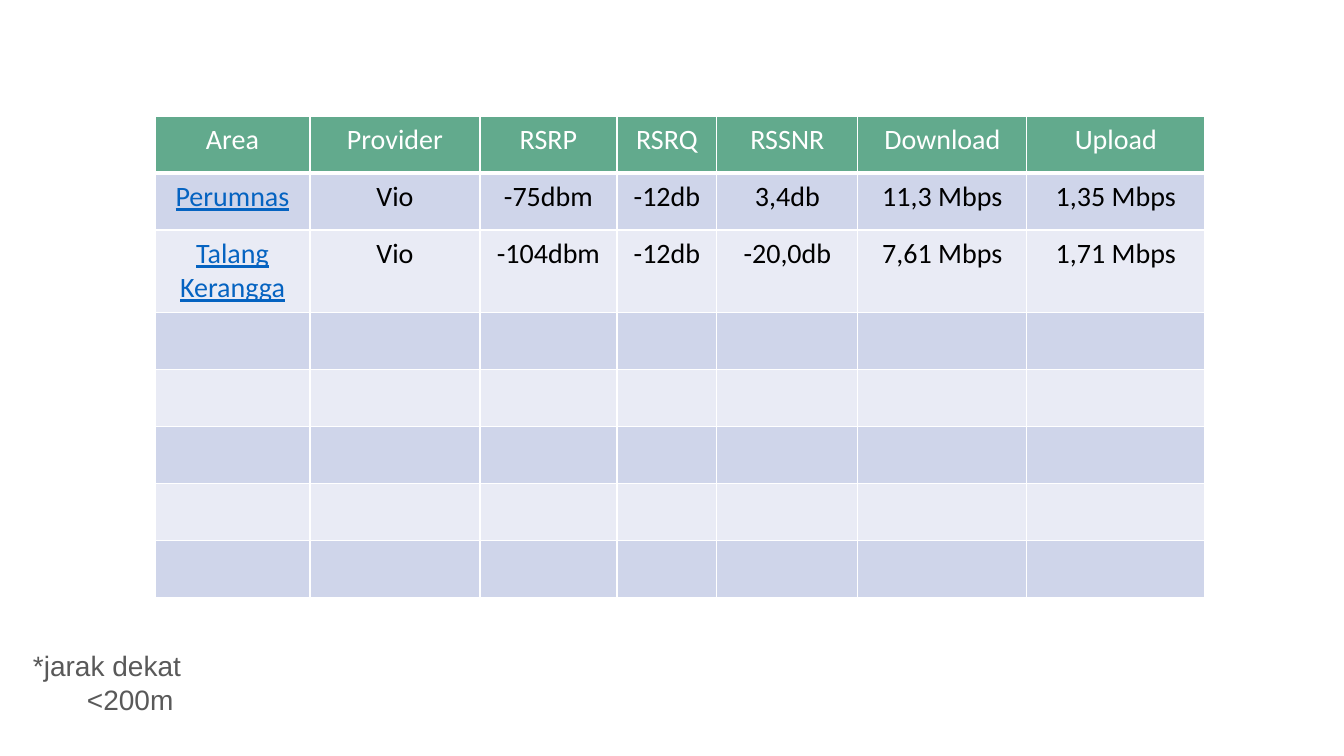
from dataclasses import dataclass

from lxml.etree import SubElement
from pptx import Presentation
from pptx.dml.color import RGBColor
from pptx.enum.text import PP_ALIGN as Align
from pptx.oxml.ns import qn
from pptx.util import Emu, Pt

HEADINGS = ["Area", "Provider", "RSRP", "RSRQ", "RSSNR", "Download", "Upload"]
MEASUREMENTS = [
    ["Perumnas", "Vio", "-75dbm", "-12db", "3,4db", "11,3 Mbps", "1,35 Mbps"],
    ["Talang Kerangga", "Vio", "-104dbm", "-12db", "-20,0db", "7,61 Mbps", "1,71 Mbps"],
]
EMPTY_ROWS = 5
DISTANCE_NOTE = [("*jarak dekat", 0), ("<200m", 54)]  # text, indent in px

SLIDE_SIZE = (1344, 756)
TABLE_ORIGIN = (155, 116)
COLUMN_WIDTHS = [155, 170, 137, 100, 141, 169, 178]
ROW_HEIGHT = 57
CELL_INSETS = (14, 7)
NOTE_BOX = (23, 644, 430, 78)


@dataclass(frozen=True)
class Theme:
    header: str = "62AA8D"
    bands: tuple = ("CFD5EA", "E9EBF5")
    border: str = "FFFFFF"
    header_text: str = "FFFFFF"
    body_text: str = "000000"
    area_text: str = "0563C1"
    note_text: str = "595959"
    table_font: str = "Calibri"
    note_font: str = "Arial"
    size: int = 20


THEME = Theme()


def px(length):
    return Emu(round(length * 914400 / 100.8))


def write(paragraph, text, *, font, color, align=Align.LEFT, underline=False, indent=0):
    if indent:
        paragraph._p.get_or_add_pPr().set("marL", str(px(indent)))
    paragraph.alignment = align
    run = paragraph.add_run()
    run.text = text
    run.font.name = font
    run.font.size = Pt(THEME.size)
    run.font.color.rgb = RGBColor.from_string(color)
    run.font.underline = underline


def add_borders(cell, bottom):
    properties = cell._tc.get_or_add_tcPr()
    for side, width in (("L", 1), ("R", 1), ("T", 1), ("B", bottom)):
        line = SubElement(properties, qn(f"a:ln{side}"), w=str(Pt(width)))
        fill = SubElement(line, qn("a:solidFill"))
        SubElement(fill, qn("a:srgbClr"), val=THEME.border)


def style_cell(cell, fill, bottom):
    add_borders(cell, bottom)
    cell.fill.solid()
    cell.fill.fore_color.rgb = RGBColor.from_string(fill)
    across, down = map(px, CELL_INSETS)
    cell.margin_left = cell.margin_right = across
    cell.margin_top = cell.margin_bottom = down


def add_measurements(slide):
    rows = [HEADINGS, *MEASUREMENTS] + [[""] * len(HEADINGS)] * EMPTY_ROWS
    size = (sum(COLUMN_WIDTHS), ROW_HEIGHT * len(rows))
    table = slide.shapes.add_table(
        len(rows), len(HEADINGS), *map(px, TABLE_ORIGIN + size)).table
    for column, width in zip(table.columns, COLUMN_WIDTHS):
        column.width = px(width)
    for r, values in enumerate(rows):
        table.rows[r].height = px(ROW_HEIGHT)
        is_header = r == 0
        fill = THEME.header if is_header else THEME.bands[(r - 1) % 2]
        for c, value in enumerate(values):
            cell = table.cell(r, c)
            style_cell(cell, fill, bottom=3 if is_header else 1)
            if not value:
                continue
            is_area = c == 0 and not is_header
            color = (THEME.header_text if is_header
                     else THEME.area_text if is_area else THEME.body_text)
            write(cell.text_frame.paragraphs[0], value, font=THEME.table_font,
                  color=color, align=Align.CENTER, underline=is_area)


def add_distance_note(slide):
    note = slide.shapes.add_textbox(*map(px, NOTE_BOX)).text_frame
    note.word_wrap = True
    for i, (text, indent) in enumerate(DISTANCE_NOTE):
        paragraph = note.add_paragraph() if i else note.paragraphs[0]
        write(paragraph, text, font=THEME.note_font, color=THEME.note_text, indent=indent)


def main():
    deck = Presentation()
    deck.slide_width, deck.slide_height = map(px, SLIDE_SIZE)
    slide = deck.slides.add_slide(deck.slide_layouts[6])
    add_measurements(slide)
    add_distance_note(slide)
    deck.save("out.pptx")


if __name__ == "__main__":
    main()
